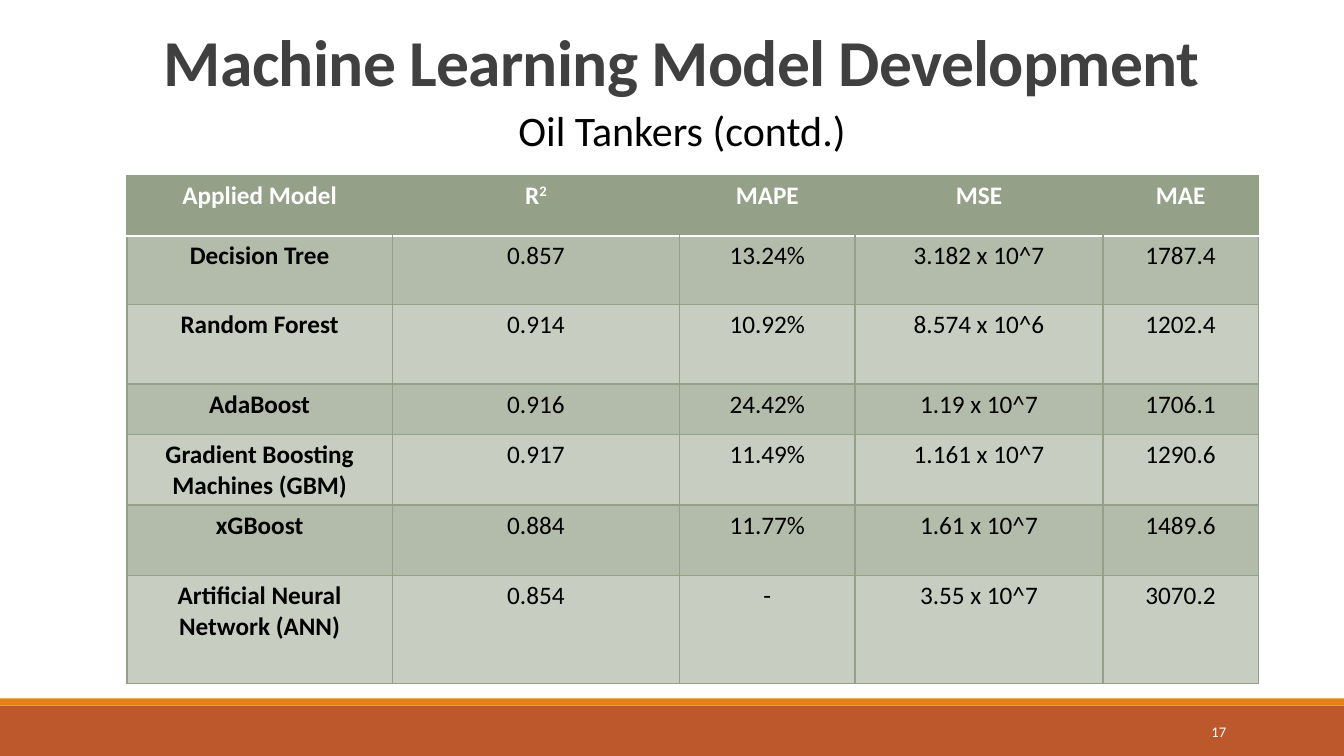
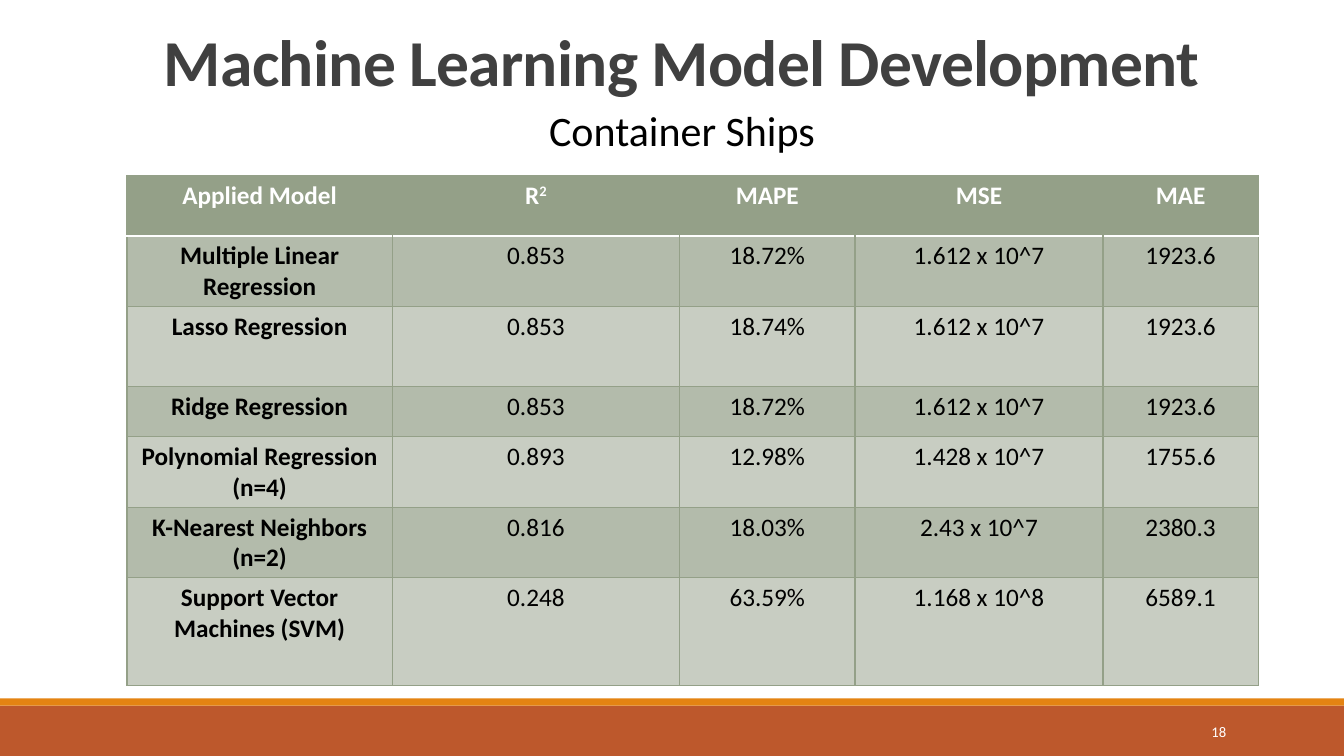
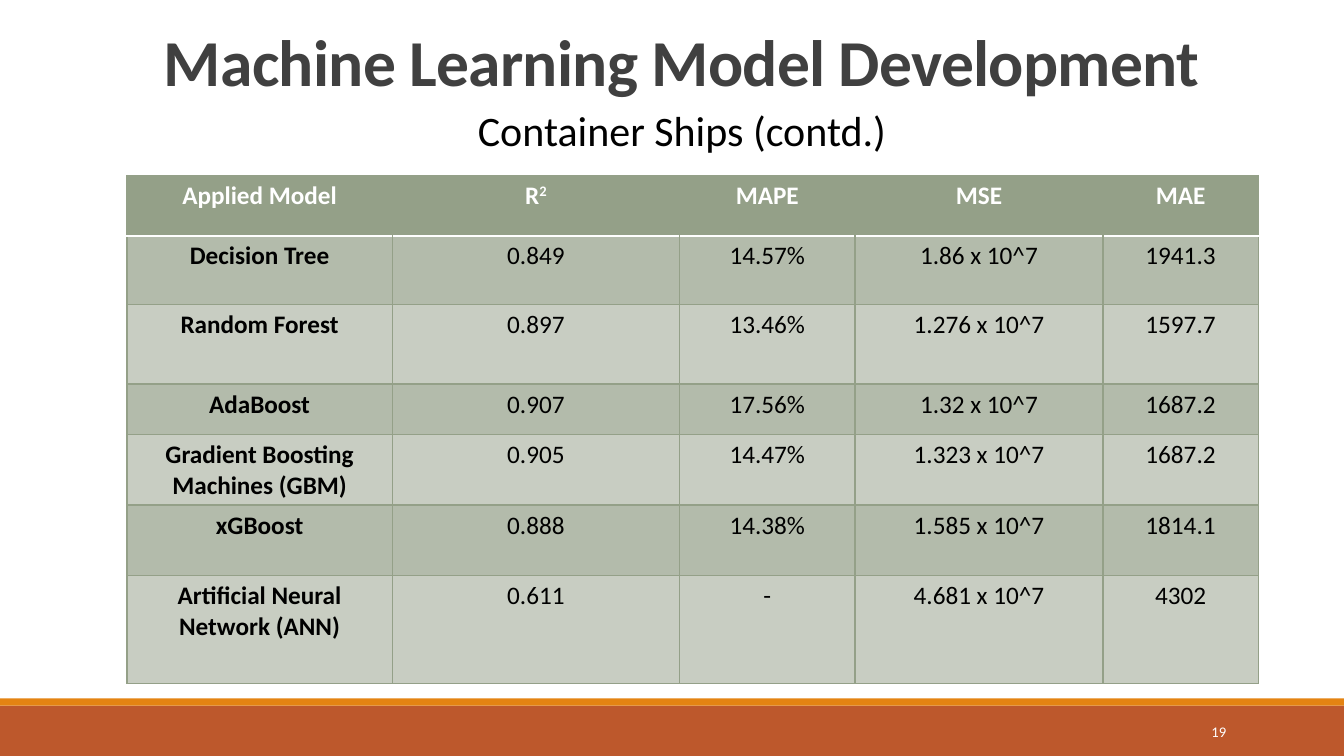
from dataclasses import dataclass
from typing import Optional

from lxml.etree import SubElement
from pptx import Presentation
from pptx.dml.color import RGBColor
from pptx.enum.shapes import MSO_SHAPE
from pptx.enum.text import MSO_ANCHOR, PP_ALIGN
from pptx.oxml.ns import qn
from pptx.util import Emu, Pt

PX = 9144
SLIDE_W, SLIDE_H = 1333, 750
FONT = "Calibri"
NO_STYLE = "{2D5ABB26-0587-4C30-8999-92F81FD0307C}"

WHITE = RGBColor(0xFF, 0xFF, 0xFF)
BLACK = RGBColor(0x00, 0x00, 0x00)
TITLE_GREY = RGBColor(0x40, 0x40, 0x40)
RUST = RGBColor(0xBD, 0x58, 0x2C)
ORANGE = RGBColor(0xE4, 0x83, 0x12)
SAGE = RGBColor(0x94, 0xA0, 0x88)
SAGE_MID = RGBColor(0xB3, 0xBB, 0xAB)
SAGE_PALE = RGBColor(0xC8, 0xCD, 0xC2)

TITLE = "Machine Learning Model Development"
HEADER = ("Applied Model", "R2", "MAPE", "MSE", "MAE")
COL_WIDTHS = (263, 285, 174, 246, 154)
ROW_HEIGHTS = (60, 68, 79, 50, 70, 70, 107)
FIRST_PAGE = 17


@dataclass(frozen=True)
class Box:
    x: int
    y: int
    w: int
    h: int

    def emu(self) -> tuple[Emu, ...]:
        return tuple(Emu(v * PX) for v in (self.x, self.y, self.w, self.h))


@dataclass(frozen=True)
class TextStyle:
    size: float
    color: RGBColor
    bold: bool = False
    align: PP_ALIGN = PP_ALIGN.CENTER


@dataclass(frozen=True)
class Band:
    box: Box
    color: RGBColor


@dataclass(frozen=True)
class Edge:
    color: RGBColor
    width: float


@dataclass(frozen=True)
class ResultSlide:
    subtitle: str
    rows: tuple[tuple[str, ...], ...]


BANDS = (
    Band(Box(0, 700, SLIDE_W, 50), RUST),
    Band(Box(0, 693, SLIDE_W, 7), ORANGE),
)
TITLE_BOX = Box(126, 28, 1100, 159)
SUBTITLE_BOX = Box(39, 99, 1275, 61)
PAGE_BOX = Box(1083, 706, 143, 40)
TABLE_BOX = Box(126, 174, sum(COL_WIDTHS), sum(ROW_HEIGHTS))

TITLE_STYLE = TextStyle(46.8, TITLE_GREY, bold=True)
SUBTITLE_STYLE = TextStyle(30, BLACK)
PAGE_STYLE = TextStyle(10.5, WHITE, align=PP_ALIGN.RIGHT)
HEADER_STYLE = TextStyle(18, WHITE, bold=True)
MODEL_STYLE = TextStyle(18, BLACK, bold=True)
VALUE_STYLE = TextStyle(18, BLACK)

GRID_EDGE = Edge(SAGE, 1)
HEADER_EDGE = Edge(WHITE, 1.25)

SLIDES = (
    ResultSlide("Oil Tankers (contd.)", (
        ("Decision Tree", "0.857", "13.24%", "3.182 x 10^7", "1787.4"),
        ("Random Forest", "0.914", "10.92%", "8.574 x 10^6", "1202.4"),
        ("AdaBoost", "0.916", "24.42%", "1.19 x 10^7", "1706.1"),
        ("Gradient Boosting Machines (GBM)", "0.917", "11.49%", "1.161 x 10^7", "1290.6"),
        ("xGBoost", "0.884", "11.77%", "1.61 x 10^7", "1489.6"),
        ("Artificial Neural Network (ANN)", "0.854", "-", "3.55 x 10^7", "3070.2"),
    )),
    ResultSlide("Container Ships", (
        ("Multiple Linear Regression", "0.853", "18.72%", "1.612 x 10^7", "1923.6"),
        ("Lasso Regression", "0.853", "18.74%", "1.612 x 10^7", "1923.6"),
        ("Ridge Regression", "0.853", "18.72%", "1.612 x 10^7", "1923.6"),
        ("Polynomial Regression (n=4)", "0.893", "12.98%", "1.428 x 10^7", "1755.6"),
        ("K-Nearest Neighbors (n=2)", "0.816", "18.03%", "2.43 x 10^7", "2380.3"),
        ("Support Vector Machines (SVM)", "0.248", "63.59%", "1.168 x 10^8", "6589.1"),
    )),
    ResultSlide("Container Ships (contd.)", (
        ("Decision Tree", "0.849", "14.57%", "1.86 x 10^7", "1941.3"),
        ("Random Forest", "0.897", "13.46%", "1.276 x 10^7", "1597.7"),
        ("AdaBoost", "0.907", "17.56%", "1.32 x 10^7", "1687.2"),
        ("Gradient Boosting Machines (GBM)", "0.905", "14.47%", "1.323 x 10^7", "1687.2"),
        ("xGBoost", "0.888", "14.38%", "1.585 x 10^7", "1814.1"),
        ("Artificial Neural Network (ANN)", "0.611", "-", "4.681 x 10^7", "4302"),
    )),
)


def format_paragraph(p, style: TextStyle) -> None:
    p.alignment = style.align
    for r in p.runs:
        r.font.name = FONT
        r.font.size = Pt(style.size)
        r.font.bold = style.bold
        r.font.color.rgb = style.color


def add_text(s, box: Box, text: str, style: TextStyle, anchor=MSO_ANCHOR.TOP):
    tf = s.shapes.add_textbox(*box.emu()).text_frame
    tf.word_wrap = True
    tf.vertical_anchor = anchor
    p = tf.paragraphs[0]
    p.text = text
    format_paragraph(p, style)
    return p


def add_band(s, band: Band) -> None:
    sp = s.shapes.add_shape(MSO_SHAPE.RECTANGLE, *band.box.emu())
    sp.shadow.inherit = False
    sp.fill.solid()
    sp.fill.fore_color.rgb = band.color
    sp.line.fill.background()


def add_frame(s, subtitle: str, page: int) -> None:
    for band in BANDS:
        add_band(s, band)
    add_text(s, PAGE_BOX, str(page), PAGE_STYLE, MSO_ANCHOR.MIDDLE)
    p = add_text(s, TITLE_BOX, TITLE, TITLE_STYLE)
    p.line_spacing = 0.85
    p.runs[0].font._element.set("spc", "-50")
    add_text(s, SUBTITLE_BOX, subtitle, SUBTITLE_STYLE)


def set_edge(cell, tag: str, edge: Optional[Edge]) -> None:
    ln = SubElement(cell._tc.get_or_add_tcPr(), qn(f"a:{tag}"))
    if edge is None:
        ln.set("w", "0")
        SubElement(ln, qn("a:noFill"))
        return
    ln.set("w", str(int(Pt(edge.width))))
    fill = SubElement(ln, qn("a:solidFill"))
    SubElement(fill, qn("a:srgbClr")).set("val", str(edge.color))


def set_edges(cell, row: int, col: int) -> None:
    is_header = row == 0
    last_col = len(HEADER) - 1
    set_edge(cell, "lnL", None if is_header and col > 0 else GRID_EDGE)
    set_edge(cell, "lnR", None if is_header and col < last_col else GRID_EDGE)
    set_edge(cell, "lnT", HEADER_EDGE if row == 1 else GRID_EDGE)
    set_edge(cell, "lnB", HEADER_EDGE if is_header else GRID_EDGE)


def fill_cell(cell, row: int, col: int, text: str) -> None:
    set_edges(cell, row, col)
    cell.fill.solid()
    p = cell.text_frame.paragraphs[0]
    if row == 0:
        cell.fill.fore_color.rgb = SAGE
        style = HEADER_STYLE
    else:
        cell.fill.fore_color.rgb = SAGE_MID if row % 2 else SAGE_PALE
        style = VALUE_STYLE if col else MODEL_STYLE
    if text == "R2":
        for part in text:
            p.add_run().text = part
        p.runs[1].font._element.set("baseline", "30000")
    else:
        p.text = text
    format_paragraph(p, style)


def add_results(s, rows: tuple[tuple[str, ...], ...]) -> None:
    lines = (HEADER, *rows)
    table = s.shapes.add_table(len(lines), len(HEADER), *TABLE_BOX.emu()).table
    table.first_row = False
    table.horz_banding = False
    table._tbl.tblPr.find(qn("a:tableStyleId")).text = NO_STYLE
    for column, width in zip(table.columns, COL_WIDTHS):
        column.width = Emu(width * PX)
    for table_row, height in zip(table.rows, ROW_HEIGHTS):
        table_row.height = Emu(height * PX)
    for row, line in enumerate(lines):
        for col, text in enumerate(line):
            fill_cell(table.cell(row, col), row, col, text)


def main() -> None:
    prs = Presentation()
    prs.slide_width = Emu(SLIDE_W * PX)
    prs.slide_height = Emu(SLIDE_H * PX)
    for page, result in enumerate(SLIDES, FIRST_PAGE):
        s = prs.slides.add_slide(prs.slide_layouts[6])
        add_frame(s, result.subtitle, page)
        add_results(s, result.rows)
    prs.save("out.pptx")


if __name__ == "__main__":
    main()
